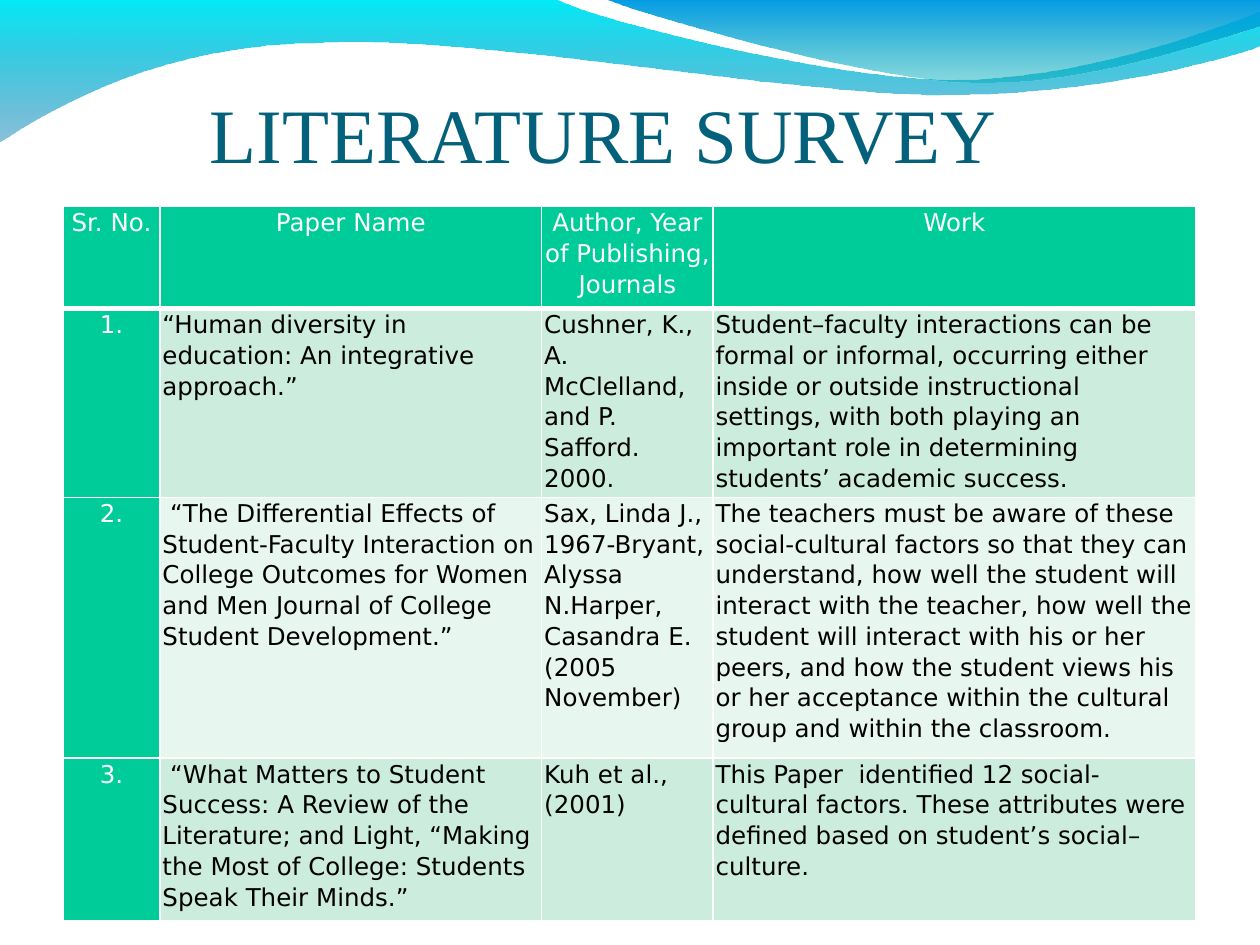
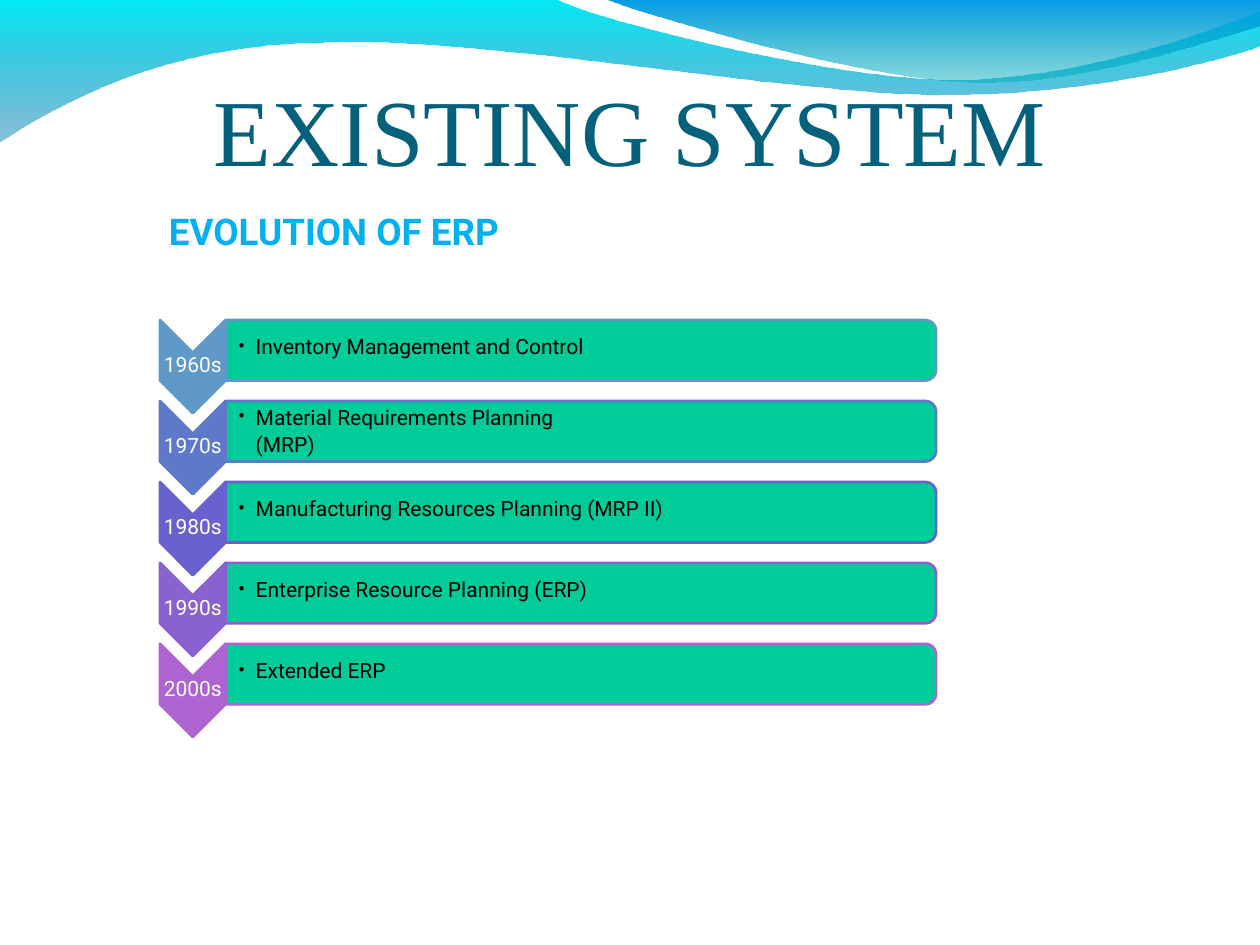
from lxml import etree
from pptx import Presentation
from pptx.dml.color import RGBColor
from pptx.enum.text import MSO_ANCHOR, PP_ALIGN
from pptx.oxml.ns import qn
from pptx.util import Inches, Pt

CENTER, LEFT = PP_ALIGN.CENTER, PP_ALIGN.LEFT
BOTTOM = MSO_ANCHOR.BOTTOM

COLORS = {
    "title": "04617B",
    "heading": "00B0F0",
    "green": "00CC99",
    "odd_row": "CCECDE",
    "even_row": "E7F6EF",
    "white": "FFFFFF",
    "black": "000000",
}
TITLE_FONT, TABLE_FONT, BODY_FONT = "Times New Roman", "DejaVu Sans", "Roboto"

WAVES = [
    ([(0, -0.01), (4.4, -0.01),
      [(4.76, 0.17), (6.64, 0.63), (7.58, 0.63)],
      [(8.53, 0.63), (9.58, 0.26), (10, 0.09)],
      (10.01, 0.36),
      [(9.83, 0.44), (8.7, 0.76), (7.46, 0.75)],
      [(6.22, 0.75), (3.82, 0.28), (2.57, 0.34)],
      [(1.29, 0.35), (0.46, 0.83), (-0.01, 1.13)]], ("00EBF8", "0079AF")),
    ([(4.79, -0.01),
      [(5.09, 0.11), (6.82, 0.62), (7.69, 0.65)],
      [(8.56, 0.69), (9.61, 0.32), (10, 0.21)],
      (10, 0)], ("009BE5", "00ADB6")),
]


def draw_outline(page, steps):
    points = []
    for step in steps:
        points += step if isinstance(step, list) else [step]
    points = [(Inches(x), Inches(y)) for x, y in points]
    builder = page.shapes.build_freeform(*points[0])
    builder.add_line_segments(points[1:], close=True)
    shape = builder.convert_to_shape()
    shape.shadow.inherit = False
    lines = iter(shape._element.spPr.findall(".//" + qn("a:lnTo")))
    for step in steps[1:]:
        line = next(lines)
        if isinstance(step, list):
            curve = etree.Element(qn("a:cubicBezTo"))
            line.addprevious(curve)
            for part in (line, next(lines), next(lines)):
                curve.append(part[0])
                part.getparent().remove(part)
    return shape


def add_text(page, lines, place, font, size, color, align=LEFT, top_inset=0.01):
    box = page.shapes.add_textbox(*[Inches(length) for length in place])
    frame = box.text_frame
    frame.word_wrap = True
    frame.margin_left = frame.margin_right = frame.margin_bottom = 0
    frame.margin_top = Inches(top_inset)
    frame.text = "\n".join(lines)
    for para in frame.paragraphs:
        para.alignment = align
        para.font.name = font
        para.font.size = Pt(size)
        para.font.color.rgb = RGBColor.from_string(color)
    return box


deck = Presentation()
deck.slide_width, deck.slide_height = Inches(10), Inches(7.5)

pages = []
for title, place, size in [
    ("LITERATURE SURVEY", (0.25, 0.41, 9.08, 1.01), 44),
    ("EXISTING SYSTEM", (0.5, 0.3, 9, 1.17), 54),
]:
    page = deck.slides.add_slide(deck.slide_layouts[6])
    for steps, stops in WAVES:
        wave = draw_outline(page, steps)
        wave.line.fill.background()
        wave.fill.gradient()
        wave.fill.gradient_angle = 270
        for stop, color in zip(wave.fill.gradient_stops, stops):
            stop.color.rgb = RGBColor.from_string(color)
        last_color = wave._element.spPr.findall(".//" + qn("a:srgbClr"))[-1]
        etree.SubElement(last_color, qn("a:alpha"), val="45000")
    title_box = add_text(page, [title], place, TITLE_FONT, size, COLORS["title"], CENTER, 0.05)
    title_box.text_frame.vertical_anchor = BOTTOM
    pages.append(page)
survey_page, system_page = pages

PAPERS = [
    ("Sr. No.", "Paper Name", "Author, Year of Publishing, Journals", "Work"),
    ("1.", "“Human diversity in education: An integrative approach.”",
     "Cushner, K., A. McClelland, and P. Safford. 2000.",
     "Student–faculty interactions can be formal or informal, occurring either inside or "
     "outside instructional settings, with both playing an important role in determining "
     "students’ academic success."),
    ("2.", " “The Differential Effects of Student-Faculty Interaction on College Outcomes "
     "for Women and Men Journal of College Student Development.”",
     "Sax, Linda J., 1967-Bryant, Alyssa N.Harper, Casandra E.(2005 November)",
     "The teachers must be aware of these social-cultural factors so that they can "
     "understand, how well the student will interact with the teacher, how well the "
     "student will interact with his or her peers, and how the student views his or her "
     "acceptance within the cultural group and within the classroom."),
    ("3.", " “What Matters to Student Success: A Review of the Literature; and Light, "
     "“Making the Most of College: Students Speak Their Minds.”",
     "Kuh et al., (2001)",
     "This Paper  identified 12 social-cultural factors. These attributes were defined "
     "based on student’s social–culture."),
]
table = survey_page.shapes.add_table(
    4, 4, Inches(0.5), Inches(1.64), Inches(8.99), Inches(5.46)).table
for column, width in zip(table.columns, (0.77, 3.03, 1.36, 3.83)):
    column.width = Inches(width)
for row, height in zip(table.rows, (0.81, 1.29, 2.07, 1.29)):
    row.height = Inches(height)
table.first_row = table.horz_banding = False

for row_index, paper in enumerate(PAPERS):
    for column_index, text in enumerate(paper):
        is_head = row_index == 0 or column_index == 0
        band = "odd_row" if row_index % 2 else "even_row"
        cell = table.cell(row_index, column_index)
        cell.text = text
        cell.margin_left = cell.margin_right = Inches(0.02)
        cell.margin_top = cell.margin_bottom = 0
        para = cell.text_frame.paragraphs[0]
        para.alignment = CENTER if is_head else LEFT
        para.line_spacing = 1.07
        para.space_after = Pt(8)
        para.font.name = TABLE_FONT
        para.font.size = Pt(14)
        para.font.color.rgb = RGBColor.from_string(COLORS["white" if is_head else "black"])
        if row_index == 0:
            for side, width in (("L", 1), ("R", 1), ("T", 1), ("B", 3)):
                border = etree.SubElement(cell._tc.get_or_add_tcPr(), qn("a:ln" + side),
                                          w=str(Pt(width)))
                paint = etree.SubElement(border, qn("a:solidFill"))
                etree.SubElement(paint, qn("a:srgbClr"), val=COLORS["white"])
        cell.fill.solid()
        cell.fill.fore_color.rgb = RGBColor.from_string(COLORS["green" if is_head else band])

heading = add_text(system_page, ["EVOLUTION OF ERP"], (1.34, 1.65, 3.01, 0.36),
                   BODY_FONT, 21, COLORS["heading"])
heading.text_frame.paragraphs[0].font.bold = True

ERAS = [
    ("1960s", "5F99C8", ["Inventory Management and Control"]),
    ("1970s", "5F79CA", ["Material Requirements Planning", "(MRP)"]),
    ("1980s", "6961CD", ["Manufacturing Resources Planning (MRP II)"]),
    ("1990s", "8A62CF", ["Enterprise Resource Planning (ERP)"]),
    ("2000s", "AD64D1", ["Extended ERP"]),
]
ARROW_LEFT, BAR_LEFT, BAR_RIGHT = 1.27, 1.79, 7.43
ARROW_MIDDLE = (ARROW_LEFT + BAR_LEFT) / 2
BAR_HEIGHT, POINT_DEPTH, RADIUS = 0.48, 0.26, 0.08
FIRST_TOP, PITCH = 2.54, 2.57 / 4

for index, (era, color, lines) in enumerate(ERAS):
    top = FIRST_TOP + index * PITCH
    bottom = top + BAR_HEIGHT
    curve_start = BAR_RIGHT - RADIUS
    arrow = [(BAR_LEFT, top), (BAR_LEFT, bottom), (ARROW_MIDDLE, bottom + POINT_DEPTH),
             (ARROW_LEFT, bottom), (ARROW_LEFT, top), (ARROW_MIDDLE, top + POINT_DEPTH)]
    bar = [(BAR_LEFT, top), (curve_start, top),
           [(BAR_RIGHT - 0.04, top), (BAR_RIGHT, top + 0.04), (BAR_RIGHT, top + RADIUS)],
           (BAR_RIGHT, bottom - RADIUS),
           [(BAR_RIGHT, bottom - 0.04), (BAR_RIGHT - 0.04, bottom), (curve_start, bottom)],
           (BAR_LEFT, bottom)]
    for steps, fill in ((arrow, color), (bar, COLORS["green"])):
        shape = draw_outline(system_page, steps)
        shape.fill.solid()
        shape.fill.fore_color.rgb = RGBColor.from_string(fill)
        shape.line.color.rgb = RGBColor.from_string(color)
        shape.line.width = Pt(1.5)

    add_text(system_page, [era], (1.3, top + 0.24, 0.49, 0.21), BODY_FONT, 12, COLORS["white"])
    two_lines = len(lines) == 2
    box = add_text(system_page, lines,
                   (1.88, top if two_lines else top + 0.1, 4.04, 0.45 if two_lines else 0.21),
                   BODY_FONT, 12, COLORS["black"])
    for line_index, para in enumerate(box.text_frame.paragraphs):
        if two_lines:
            para.line_spacing = Pt(15.5)
        properties = para._p.get_or_add_pPr()
        properties.set("marL", str(Inches(0.15)))
        properties.set("indent", str(Inches(0 if line_index else -0.14)))
        if line_index == 0:
            defaults = properties.find(qn("a:defRPr"))
            defaults.addprevious(etree.Element(qn("a:buFont"), typeface=BODY_FONT))
            defaults.addprevious(etree.Element(qn("a:buChar"), char="•"))

deck.save("out.pptx")
